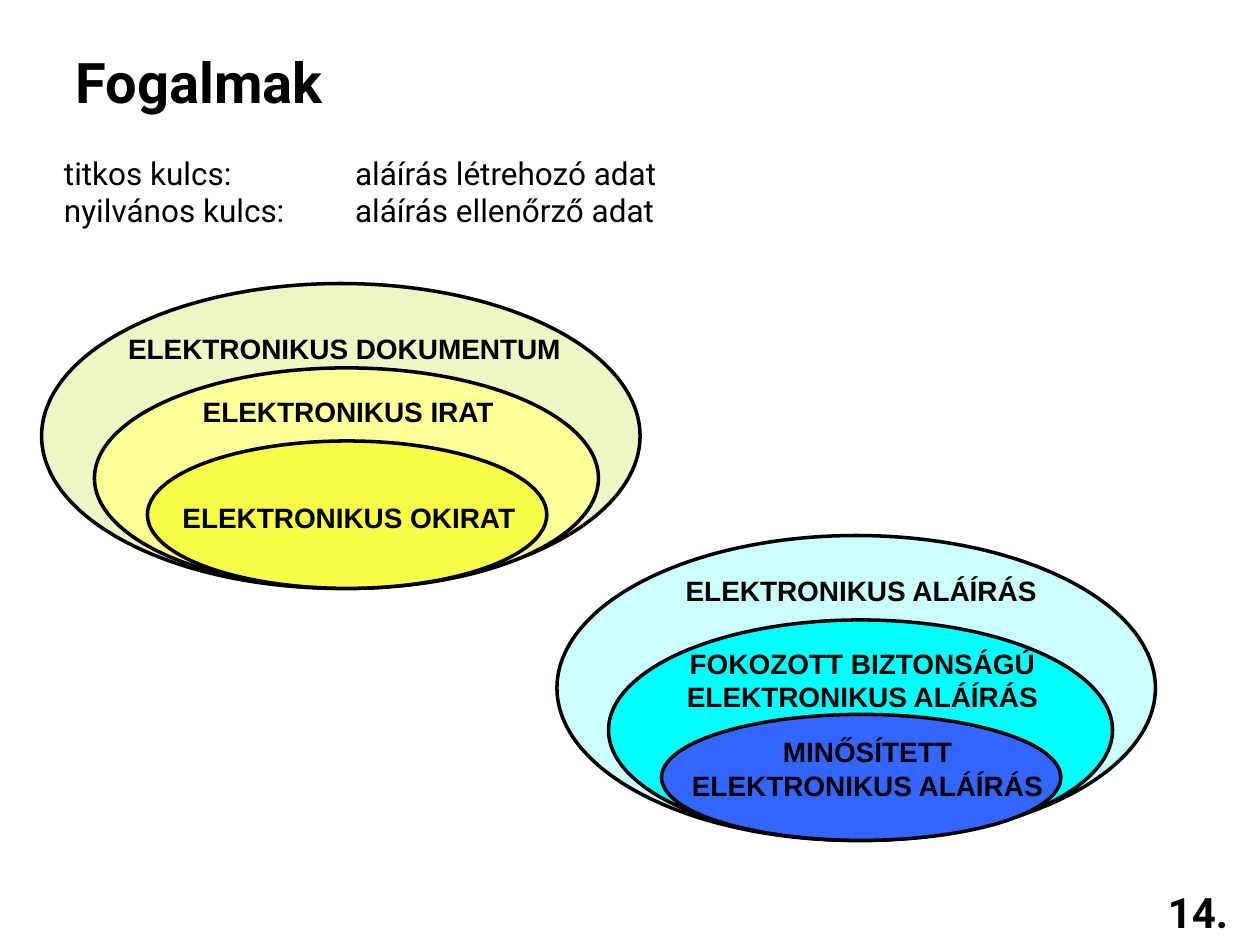
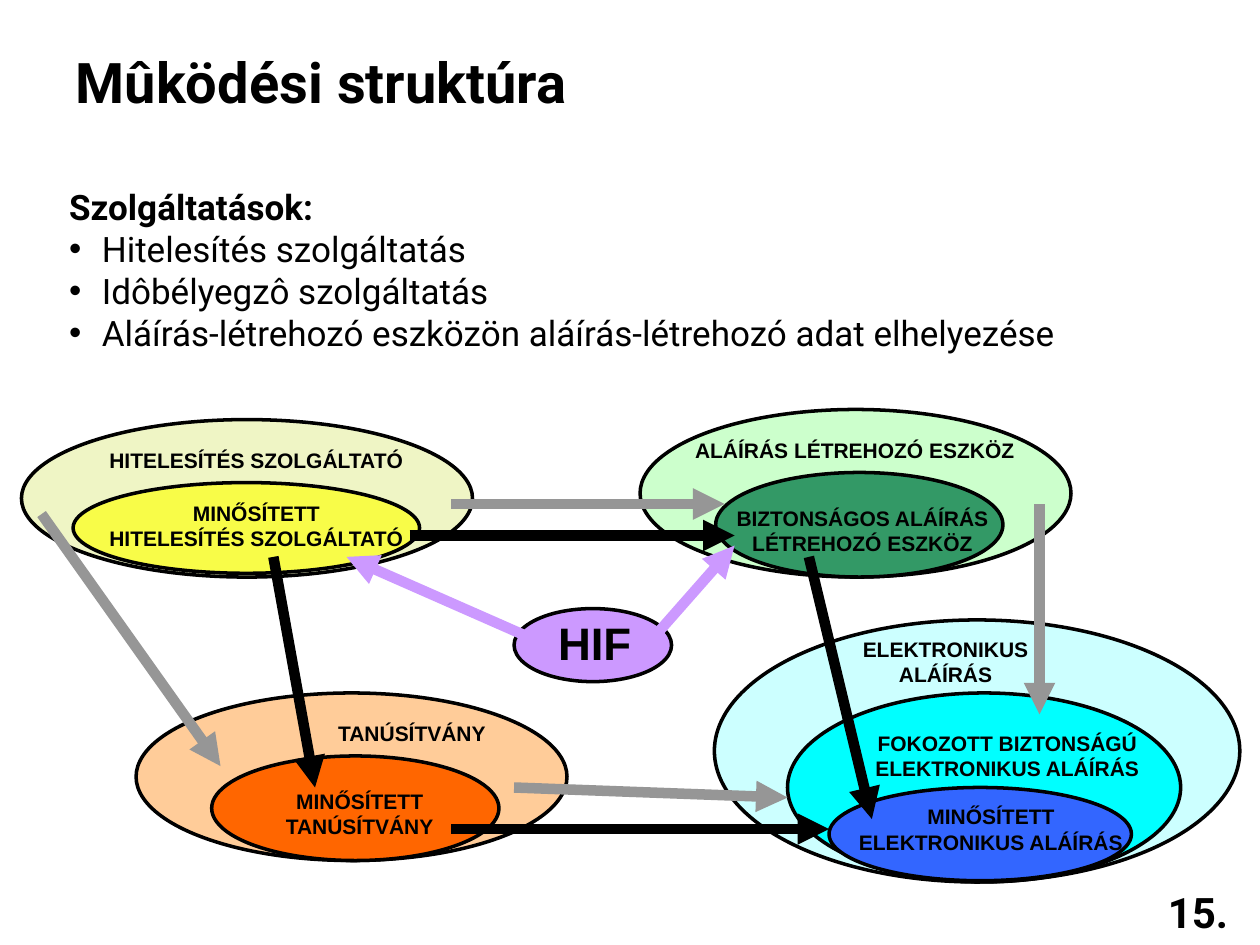
from lxml import etree
from pptx import Presentation
from pptx.dml.color import RGBColor
from pptx.enum.shapes import MSO_CONNECTOR, MSO_SHAPE
from pptx.enum.text import MSO_ANCHOR, MSO_AUTO_SIZE, PP_ALIGN
from pptx.oxml.ns import qn
from pptx.util import Inches, Pt

ELLIPSE = MSO_SHAPE.OVAL
STRAIGHT = MSO_CONNECTOR.STRAIGHT
TOP, MIDDLE = MSO_ANCHOR.TOP, MSO_ANCHOR.MIDDLE
LEFT, CENTER = PP_ALIGN.LEFT, PP_ALIGN.CENTER
NO_AUTO_SIZE = MSO_AUTO_SIZE.NONE
TITLE_ONLY_LAYOUT = 5

BODY_FONT, LABEL_FONT = "Roboto", "Arial"
BLACK, GREY, LILAC = "000000", "969696", "CC99FF"
OLIVE, PALE_YELLOW, YELLOW = "EFF5C5", "FFFF99", "F8FC48"
PALE_CYAN, CYAN, BLUE = "CCFFFF", "00FFFF", "3366FF"
PALE_ORANGE, ORANGE = "FFCC99", "FF6600"
PALE_GREEN, GREEN = "CCFFCC", "339966"


def color(hex_code):
    return RGBColor.from_string(hex_code)


class Deck:
    """Holds the shared style and the slide being drawn."""

    def __init__(self):
        self.presentation = Presentation()
        self.presentation.slide_width = Inches(10)
        self.presentation.slide_height = Inches(7.5)
        self.slide = None

    def add_slide(self, title, number):
        layout = self.presentation.slide_layouts[TITLE_ONLY_LAYOUT]
        self.slide = self.presentation.slides.add_slide(layout)
        shape = self.slide.shapes.title
        shape.left, shape.top = Inches(0.5), Inches(0.33)
        shape.width, shape.height = Inches(7.75), Inches(0.64)
        self.fill_text(shape.text_frame, [title], 32, bold=True)
        self.text(9.17, 6.99, 0.83, 0.5, [f"{number}."], 24, bold=True)

    def fill_text(self, frame, lines, size, font=BODY_FONT, bold=False,
                  align=LEFT, anchor=TOP, wrap=True):
        frame.text = "\n".join(lines)
        frame.word_wrap = wrap
        frame.auto_size = NO_AUTO_SIZE
        frame.vertical_anchor = anchor
        for paragraph in frame.paragraphs:
            paragraph.alignment = align
            for run in paragraph.runs:
                run.font.name = font
                run.font.size = Pt(size)
                run.font.bold = bold
                run.font.color.rgb = color(BLACK)

    def text(self, left, top, width, height, lines, size, **style):
        box = self.slide.shapes.add_textbox(
            Inches(left), Inches(top), Inches(width), Inches(height))
        self.fill_text(box.text_frame, lines, size, **style)
        return box.text_frame.paragraphs

    def label(self, left, top, width, lines, size):
        """Bold centred caption whose height follows from its lines."""
        height = len(lines) * size * 1.2 / 72 + 0.1
        self.text(left, top, width, height, lines, size, font=LABEL_FONT,
                  bold=True, align=CENTER, anchor=MIDDLE, wrap=False)

    def ellipse(self, left, top, width, height, fill):
        shape = self.slide.shapes.add_shape(
            ELLIPSE, Inches(left), Inches(top), Inches(width), Inches(height))
        shape.shadow.inherit = False
        shape.fill.solid()
        shape.fill.fore_color.rgb = color(fill)
        shape.line.color.rgb = color(BLACK)
        shape.line.width = Pt(2)

    def nested_sets(self, ellipses, labels, size):
        for ellipse in ellipses:
            self.ellipse(*ellipse)
        for label in labels:
            self.label(*label, size)

    def arrow(self, start, end, line_color):
        connector = self.slide.shapes.add_connector(
            STRAIGHT, *(Inches(value) for value in (*start, *end)))
        connector.line.color.rgb = color(line_color)
        connector.line.width = Pt(6)
        properties = connector._element.spPr
        etree.SubElement(properties.find(qn("a:ln")), qn("a:tailEnd"),
                         type="triangle")
        etree.SubElement(properties, qn("a:effectLst"))

    def bullet(self, paragraph, indent):
        properties = paragraph._p.get_or_add_pPr()
        properties.set("marL", str(Inches(indent)))
        properties.set("indent", str(-Inches(indent)))
        etree.SubElement(properties, qn("a:buFont"), typeface=LABEL_FONT)
        etree.SubElement(properties, qn("a:buChar"), char="•")

    def tab_stop(self, paragraph, position):
        tabs = etree.SubElement(paragraph._p.get_or_add_pPr(), qn("a:tabLst"))
        etree.SubElement(tabs, qn("a:tab"), pos=str(Inches(position)), algn="l")


def add_concepts(deck):
    deck.add_slide("Fogalmak", 14)
    key_terms = ["titkos kulcs:\taláírás létrehozó adat",
                 "nyilvános kulcs:\taláírás ellenőrző adat"]
    for paragraph in deck.text(0.41, 1.17, 5.3, 0.7, key_terms, 18, anchor=MIDDLE):
        deck.tab_stop(paragraph, 2.31)

    deck.nested_sets(
        [(0.33, 2.25, 4.75, 2.42, OLIVE),
         (0.75, 2.92, 4, 1.75, PALE_YELLOW),
         (1.17, 3.5, 3.17, 1.17, YELLOW)],
        [(0.92, 2.58, 3.63, ["ELEKTRONIKUS DOKUMENTUM"]),
         (1.5, 3.08, 2.53, ["ELEKTRONIKUS IRAT"]),
         (1.34, 3.92, 2.86, ["ELEKTRONIKUS OKIRAT"])], 16)
    deck.nested_sets(
        [(4.42, 4.25, 4.75, 2.42, PALE_CYAN),
         (4.83, 4.92, 4, 1.75, CYAN),
         (5.25, 5.67, 3.17, 1, BLUE)],
        [(5.34, 4.5, 2.99, ["ELEKTRONIKUS ALÁÍRÁS"]),
         (5.34, 5.08, 3.01, ["FOKOZOTT BIZTONSÁGÚ", "ELEKTRONIKUS ALÁÍRÁS"]),
         (5.36, 5.78, 3.05, ["MINŐSÍTETT", "ELEKTRONIKUS ALÁÍRÁS"])], 16)


def add_structure(deck):
    deck.add_slide("Mûködési struktúra", 15)
    services = ["Szolgáltatások:", "Hitelesítés szolgáltatás",
                "Idôbélyegzô szolgáltatás",
                "Aláírás-létrehozó eszközön aláírás-létrehozó adat elhelyezése"]
    heading, *items = deck.text(0.45, 1.42, 8.7, 1.44, services, 20, anchor=MIDDLE)
    heading.runs[0].font.bold = True
    for item in items:
        deck.bullet(item, 0.26)

    # Signature
    deck.nested_sets(
        [(5.67, 4.92, 4.17, 2.08, PALE_CYAN),
         (6.25, 5.5, 3.12, 1.5, CYAN),
         (6.58, 6.25, 2.4, 0.74, BLUE)],
        [(6.75, 5, 1.51, ["ELEKTRONIKUS", "ALÁÍRÁS"]),
         (6.84, 5.75, 2.31, ["FOKOZOTT BIZTONSÁGÚ", "ELEKTRONIKUS ALÁÍRÁS"]),
         (6.69, 6.33, 2.35, ["MINŐSÍTETT", "ELEKTRONIKUS ALÁÍRÁS"])], 12)
    # Certification provider
    deck.nested_sets(
        [(0.17, 3.33, 3.58, 1.25, OLIVE),
         (0.58, 3.83, 2.75, 0.72, YELLOW)],
        [(0.75, 3.5, 2.57, ["HITELESÍTÉS SZOLGÁLTATÓ"]),
         (0.75, 3.92, 2.57, ["MINŐSÍTETT", "HITELESÍTÉS SZOLGÁLTATÓ"])], 12)
    # Certificate
    deck.nested_sets(
        [(1.08, 5.5, 3.42, 1.33, PALE_ORANGE),
         (1.68, 6, 2.28, 0.83, ORANGE)],
        [(2.58, 5.67, 1.38, ["TANÚSÍTVÁNY"]),
         (2.14, 6.21, 1.43, ["MINŐSÍTETT", "TANÚSÍTVÁNY"])], 12)
    # Signature creation device
    deck.nested_sets(
        [(5.08, 3.25, 3.42, 1.33, PALE_GREEN),
         (5.68, 3.75, 2.28, 0.83, GREEN)],
        [(5.42, 3.42, 2.73, ["ALÁÍRÁS LÉTREHOZÓ ESZKÖZ"]),
         (5.74, 3.96, 2.21, ["BIZTONSÁGOS ALÁÍRÁS", "LÉTREHOZÓ ESZKÖZ"])], 12)

    for start, end, line_color in [
            ((0.33, 4.08), (1.75, 6.08), GREY),
            ((3.25, 4.25), (5.83, 4.25), BLACK),
            ((3.58, 4), (5.75, 4), GREY),
            ((2.17, 4.42), (2.5, 6.25), BLACK),
            ((4.08, 6.25), (6.25, 6.33), GREY),
            ((3.58, 6.58), (6.58, 6.58), BLACK),
            ((6.42, 4.42), (6.92, 6.5), BLACK),
            ((8.25, 4), (8.25, 5.67), GREY)]:
        deck.arrow(start, end, line_color)

    deck.ellipse(4.08, 4.83, 1.25, 0.58, LILAC)
    deck.label(4.33, 4.83, 0.78, ["HIF"], 26)
    deck.arrow((4.25, 5.08), (2.75, 4.42), LILAC)
    deck.arrow((5.17, 5.08), (5.83, 4.33), LILAC)


def main():
    deck = Deck()
    add_concepts(deck)
    add_structure(deck)
    deck.presentation.save("out.pptx")


if __name__ == "__main__":
    main()
